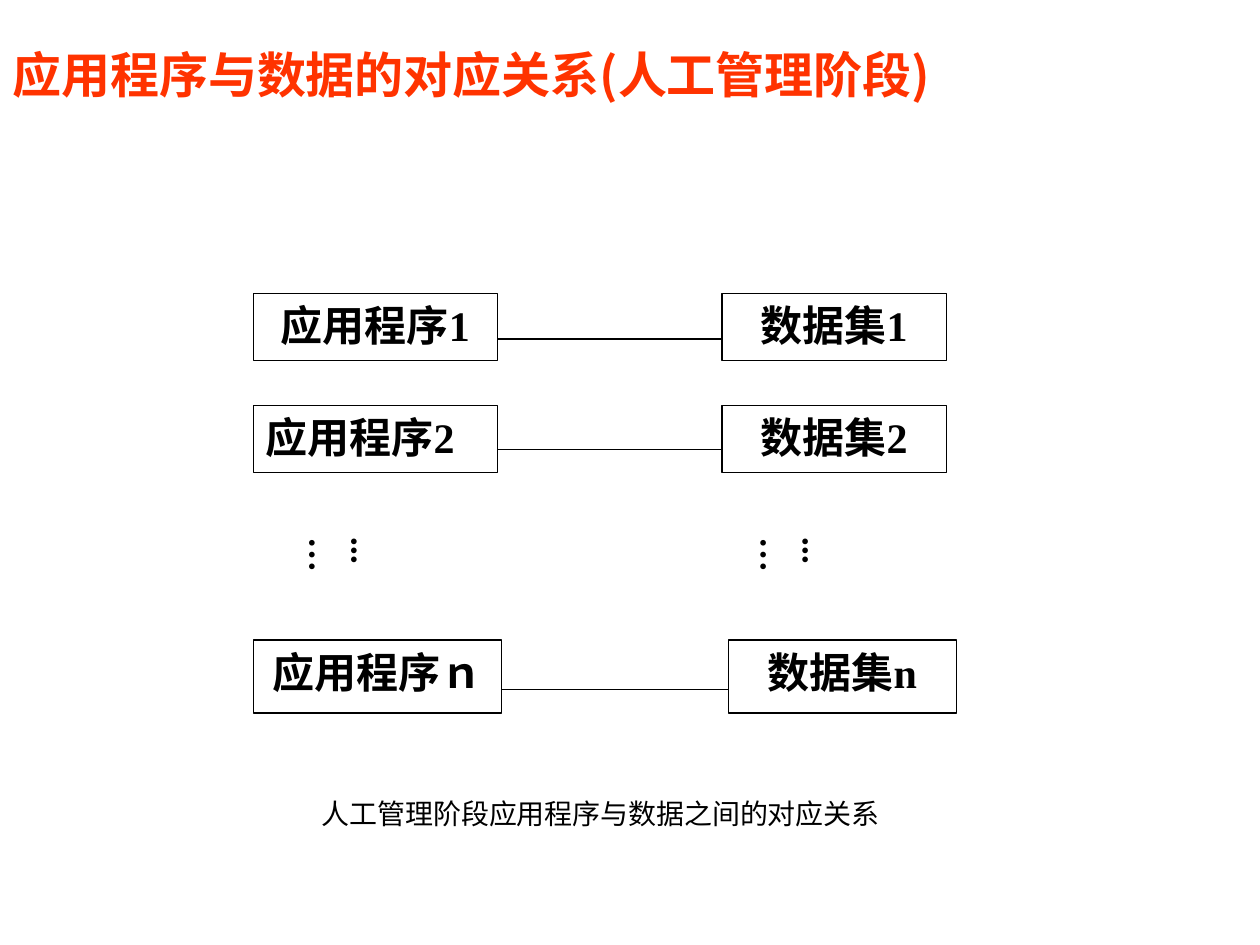
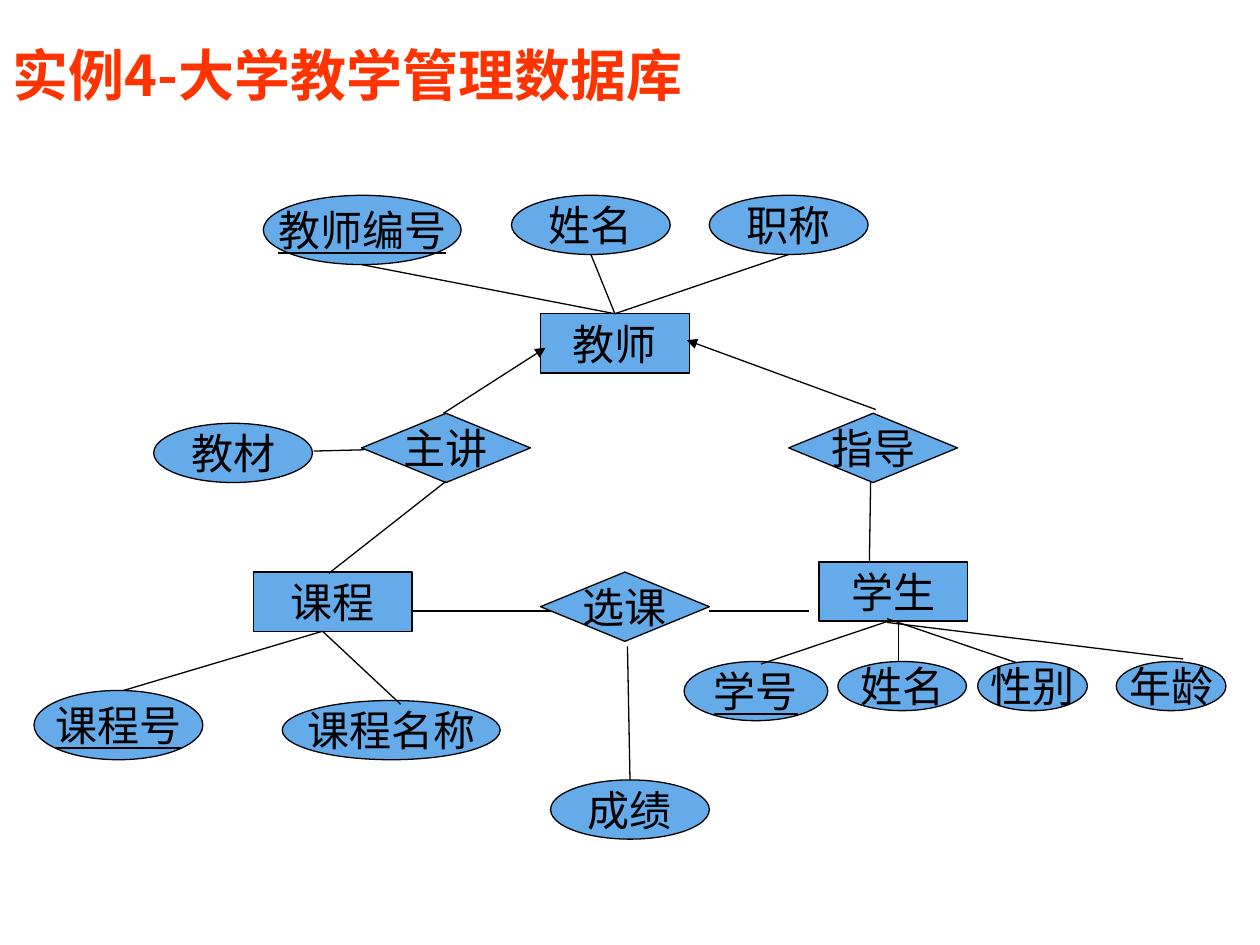
import pptx
import pptx.util
import pptx.dml.color
import pptx.enum.shapes
import pptx.enum.text
import pptx.oxml.ns
import lxml.etree

Inches, Pt = pptx.util.Inches, pptx.util.Pt
RGB = pptx.dml.color.RGBColor
SHAPE = pptx.enum.shapes.MSO_SHAPE
ALIGN = pptx.enum.text.PP_ALIGN
ANCHOR = pptx.enum.text.MSO_ANCHOR
FIT = pptx.enum.text.MSO_AUTO_SIZE
qn = pptx.oxml.ns.qn

RED = RGB(0xFF, 0x33, 0x00)
BLACK = RGB(0x00, 0x00, 0x00)
WHITE = RGB(0xFF, 0xFF, 0xFF)
BLUE = RGB(0x65, 0xAA, 0xE9)
SANS = "Noto Sans CJK SC"
SERIF = "Times New Roman"


def put_text(shape, text, size=24, font=SERIF, color=BLACK, bold=False,
             under=False, align=ALIGN.CENTER, anchor=ANCHOR.MIDDLE,
             wrap=False, inset=(0.1, 0.05, 0.1, 0.05)):
    frame = shape.text_frame
    frame.word_wrap = wrap
    frame.vertical_anchor = anchor
    (frame.margin_left, frame.margin_top,
     frame.margin_right, frame.margin_bottom) = map(Inches, inset)
    para = frame.paragraphs[0]
    para.alignment = align
    run = para.add_run()
    run.text = text
    face = run.font
    face.size, face.bold, face.underline = Pt(size), bold, under
    face.color.rgb = color
    face.name = font
    # East Asian glyphs follow the sans face
    east = lxml.etree.Element(qn("a:ea"), typeface=SANS)
    run._r.get_or_add_rPr().find(qn("a:latin")).addnext(east)
    return frame


class Deck:
    def __init__(self):
        self.show = pptx.Presentation()
        self.show.slide_width = Inches(10)
        self.show.slide_height = Inches(7.5)
        self.slide = None

    def page(self, title, size):
        self.slide = self.show.slides.add_slide(self.show.slide_layouts[6])
        self.label(title, 0, 0.28, 8.08, 0.62, size=size, font=SANS,
                   color=RED, bold=True, align=ALIGN.LEFT, wrap=True)

    def label(self, text, x, y, w, h, **style):
        box = self.slide.shapes.add_textbox(*map(Inches, (x, y, w, h)))
        return put_text(box, text, **style)

    def node(self, kind, text, x, y, w, h, fill=BLUE, **style):
        node = self.slide.shapes.add_shape(kind, *map(Inches, (x, y, w, h)))
        node.shadow.inherit = False
        node.fill.solid()
        node.fill.fore_color.rgb = fill
        node.line.color.rgb = BLACK
        node.line.width = Pt(0.75)
        put_text(node, text, **style)
        return node

    def line(self, x1, y1, x2, y2, arrow=False):
        line = self.slide.shapes.add_connector(
            pptx.enum.shapes.MSO_CONNECTOR.STRAIGHT,
            *map(Inches, (x1, y1, x2, y2)))
        line.line.color.rgb = BLACK
        line.line.width = Pt(0.75)
        props = line._element.spPr
        if arrow:
            lxml.etree.SubElement(props.find(qn("a:ln")), qn("a:tailEnd"),
                                  type="triangle")
        lxml.etree.SubElement(props, qn("a:effectLst"))
        return line

    def dots(self, x, y):
        frame = self.label("...…", x, y, 0.53, 0.67, size=20, bold=True,
                           align=ALIGN.LEFT, anchor=ANCHOR.TOP, wrap=True,
                           inset=(0.05, 0.1, 0.22, 0.1))
        frame.auto_size = FIT.SHAPE_TO_FIT_TEXT
        frame._txBody.bodyPr.set("vert", "eaVert")


def draw_map(deck):
    deck.page("应用程序与数据的对应关系(人工管理阶段)", 28)
    style = dict(fill=WHITE, bold=True, anchor=ANCHOR.TOP, wrap=True)

    # Each program is tied to its own data set
    rows = [  # mark on each side, top, height, widths, data left, line drop
        ("1", "1", 2.33, 0.53, 1.94, 1.78, 5.73, 0.36, ALIGN.CENTER),
        ("2", "2", 3.22, 0.53, 1.94, 1.78, 5.73, 0.35, ALIGN.JUSTIFY),
        ("ｎ", "n", 5.08, 0.58, 1.97, 1.81, 5.78, 0.39, ALIGN.CENTER),
    ]
    left = 2.01
    for prog, data, top, high, wide, span, right, drop, align in rows:
        deck.node(SHAPE.RECTANGLE, "应用程序" + prog, left, top, wide, high,
                  align=align, **style)
        deck.node(SHAPE.RECTANGLE, "数据集" + data, right, top, span, high,
                  **style)
        deck.line(left + wide, top + drop, right, top + drop)

    # Rows left out, then the caption
    for x in (2.76, 6.34):
        deck.dots(x, 4.17)
    deck.label("人工管理阶段应用程序与数据之间的对应关系",
               2.05, 6.27, 5.44, 0.4, size=16, anchor=ANCHOR.TOP)


def draw_model(deck):
    deck.page("实例4-大学教学管理数据库", 32)

    # Entities
    tutor = deck.node(SHAPE.RECTANGLE, "教师", 4.29, 2.49, 1.18, 0.47)
    deck.node(SHAPE.RECTANGLE, "课程", 2.01, 4.54, 1.26, 0.47)
    deck.node(SHAPE.RECTANGLE, "学生", 6.5, 4.46, 1.18, 0.47)

    # Relations
    for text, x, y in (("选课", 4.29, 4.54), ("主讲", 2.87, 3.28),
                       ("指导", 6.26, 3.28)):
        deck.node(SHAPE.FLOWCHART_DECISION, text, x, y, 1.34, 0.55)

    # Attributes, with keys underlined
    keys = {"教师编号", "课程号", "学号"}
    traits = [
        ("教师编号", 2.09, 1.55, 1.57, 0.55),
        ("姓名", 4.06, 1.55, 1.26, 0.47),
        ("职称", 5.63, 1.55, 1.26, 0.47),
        ("教材", 1.22, 3.36, 1.26, 0.47),
        ("课程号", 0.27, 5.48, 1.34, 0.55),
        ("课程名称", 2.24, 5.56, 1.73, 0.47),
        ("成绩", 4.37, 6.19, 1.26, 0.47),
        ("学号", 5.43, 5.25, 1.14, 0.47),
        ("姓名", 6.65, 5.25, 1.02, 0.39),
        ("性别", 7.76, 5.25, 0.87, 0.39),
        ("年龄", 8.86, 5.25, 0.87, 0.39),
    ]
    for text, *place in traits:
        deck.node(SHAPE.OVAL, text, *place, under=text in keys)

    # Teacher attributes meet at the top of the entity
    for x, y in ((2.87, 2.1), (4.69, 2.02), (6.26, 2.02)):
        deck.line(x, y, 4.88, 2.49).end_connect(tutor, 0)

    # Other links
    links = [
        (2.56, 5.01, 0.98, 5.48), (2.56, 5.01, 3.18, 5.59),
        (3.27, 4.85, 4.37, 4.85), (5.63, 4.85, 6.42, 4.85),
        (7.05, 4.93, 6.04, 5.27), (7.04, 4.91, 8.07, 5.26),
        (7.04, 4.94, 9.39, 5.23), (7.13, 4.93, 7.13, 5.25),
        (4.98, 5.13, 5, 6.19), (3.54, 3.82, 2.61, 4.55),
        (6.91, 3.82, 6.9, 4.45), (2.49, 3.58, 2.89, 3.57),
    ]
    for link in links:
        deck.line(*link)
    for link in ((3.52, 3.28, 4.33, 2.76), (6.95, 3.25, 5.45, 2.7)):
        deck.line(*link, arrow=True)


def main():
    deck = Deck()
    draw_map(deck)
    draw_model(deck)
    deck.show.save("out.pptx")


if __name__ == "__main__":
    main()
